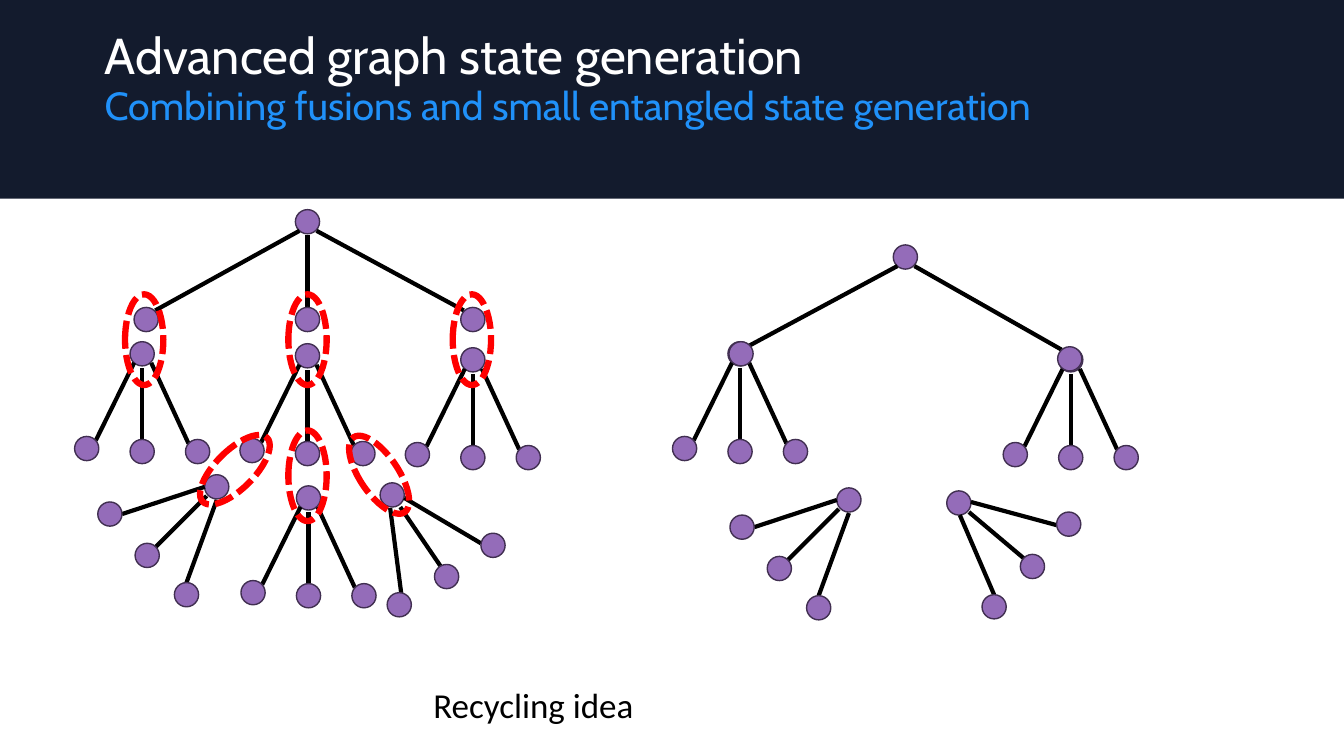
from lxml import etree
from pptx import Presentation
from pptx.dml.color import RGBColor
from pptx.enum.dml import MSO_LINE
from pptx.enum.shapes import MSO_CONNECTOR, MSO_SHAPE
from pptx.oxml.ns import qn
from pptx.util import Inches, Pt

NAVY = RGBColor(0x13, 0x1B, 0x2D)
WHITE = RGBColor(0xFF, 0xFF, 0xFF)
BLACK = RGBColor(0x00, 0x00, 0x00)
BLUE = RGBColor(0x20, 0x91, 0xF9)
PURPLE = RGBColor(0x94, 0x6C, 0xB9)
PLUM = RGBColor(0x41, 0x2F, 0x51)
RED = RGBColor(0xFF, 0x00, 0x00)
RECTANGLE, OVAL = MSO_SHAPE.RECTANGLE, MSO_SHAPE.OVAL
STRAIGHT, DASH = MSO_CONNECTOR.STRAIGHT, MSO_LINE.SQUARE_DOT

NODE = 0.24
FUSION_W, FUSION_H = 0.38, 0.9

TEXTS = [
    ("Advanced graph state generation", (0.94, 0.26, 12.19, 0.53), "Cabin", 36, WHITE, 0.9),
    ("Combining fusions and small entangled state generation",
     (0.94, 0.81, 12.19, 0.51), "Cabin", 28, BLUE, 0.9),
    ("Recycling idea", (4.2, 6.73, 6.78, 0.52), "Calibri", 25, BLACK, 1.0),
]

# Each branch, relative to the root: leaf centre, edge start, edge end
UPRIGHT = [
    ((0, 0.97), (0, 0.97), (0, 0.14)),
    ((0.55, 0.97), (0.46, 0.89), (0.09, 0.09)),
    ((-0.55, 0.94), (-0.46, 0.86), (-0.08, 0.09)),
]
LEFTWARD = [
    ((-0.69, 0.68), (-0.69, 0.68), (-0.1, 0.09)),
    ((-0.3, 1.07), (-0.3, 0.95), (0, 0.13)),
    ((-1.06, 0.27), (-0.94, 0.27), (-0.12, 0)),
]
RIGHTWARD = [
    ((0.54, 0.81), (0.55, 0.81), (0.08, 0.12)),
    ((1, 0.5), (0.88, 0.48), (0.12, 0.03)),
    ((0.07, 1.09), (0.09, 0.98), (-0.02, 0.13)),
]
RIGHTWARD_FLAT = [
    ((0.73, 0.63), (0.74, 0.63), (0.1, 0.09)),
    ((1.09, 0.21), (0.97, 0.22), (0.12, -0.01)),
    ((0.35, 1.03), (0.35, 0.91), (0.01, 0.12)),
]
TOP_THREE = [
    ((0, 0.97), (0, 0.97), (0, 0.13)),
    ((1.64, 0.97), (1.55, 0.88), (0.09, 0.09)),
    ((-1.6, 0.97), (-1.51, 0.88), (-0.08, 0.09)),
]
TOP_TWO = [
    ((1.63, 1.01), (1.55, 0.92), (0.09, 0.09)),
    ((-1.63, 0.96), (-1.55, 0.88), (-0.08, 0.09)),
]
TREES = [
    (7.34, 3.51, UPRIGHT), (10.62, 3.57, UPRIGHT), (8.98, 2.55, TOP_TWO),
    (1.41, 3.51, UPRIGHT), (3.06, 4.94, UPRIGHT), (3.05, 3.53, UPRIGHT),
    (4.69, 3.57, UPRIGHT), (3.05, 2.2, TOP_THREE), (2.15, 4.83, LEFTWARD),
    (3.89, 4.91, RIGHTWARD), (8.42, 4.96, LEFTWARD), (9.51, 4.99, RIGHTWARD_FLAT),
]
FUSIONS = [
    (3.05, 3.37, 0), (1.43, 3.37, 0), (4.68, 3.37, 0), (3.05, 4.72, 0),
    (2.33, 4.66, 45.1), (3.76, 4.71, 325.8),
]

prs = Presentation()
prs.slide_width, prs.slide_height = Inches(13.33), Inches(7.5)
s = prs.slides.add_slide(prs.slide_layouts[6])


def add_shape(kind, x, y, w, h, fill=None, line=None, weight=1):
    sp = s.shapes.add_shape(kind, Inches(x), Inches(y), Inches(w), Inches(h))
    sp.shadow.inherit = False
    if fill is None:
        sp.fill.background()
    else:
        sp.fill.solid()
        sp.fill.fore_color.rgb = fill
    if line is None:
        sp.line.fill.background()
    else:
        sp.line.color.rgb = line
        sp.line.width = Pt(weight)
    return sp


def add_node(cx, cy):
    add_shape(OVAL, cx - NODE / 2, cy - NODE / 2, NODE, NODE, PURPLE, PLUM)


def add_edge(x1, y1, x2, y2):
    edge = s.shapes.add_connector(STRAIGHT, Inches(x1), Inches(y1), Inches(x2), Inches(y2))
    edge.line.color.rgb = BLACK
    edge.line.width = Pt(3)
    etree.SubElement(edge._element.spPr, qn("a:effectLst"))


def add_tree(x, y, branches):
    add_node(x, y)
    for _, (x1, y1), (x2, y2) in branches:
        add_edge(x + x1, y + y1, x + x2, y + y2)
    for (dx, dy), _, _ in branches:
        add_node(x + dx, y + dy)


def add_text(text, box, font, size, color, spacing):
    tf = s.shapes.add_textbox(*map(Inches, box)).text_frame
    tf.word_wrap = True
    p = tf.paragraphs[0]
    p.text = text
    p.line_spacing = spacing
    p.font.name, p.font.size = font, Pt(size)
    p.font.color.rgb = color


add_shape(RECTANGLE, 0, 0, 13.33, 1.97, NAVY)
for tree in TREES:
    add_tree(*tree)
for cx, cy, angle in FUSIONS:
    fusion = add_shape(OVAL, cx - FUSION_W / 2, cy - FUSION_H / 2, FUSION_W, FUSION_H,
                       line=RED, weight=4.5)
    fusion.line.dash_style = DASH
    fusion.rotation = angle
for item in TEXTS:
    add_text(*item)

prs.save("out.pptx")
